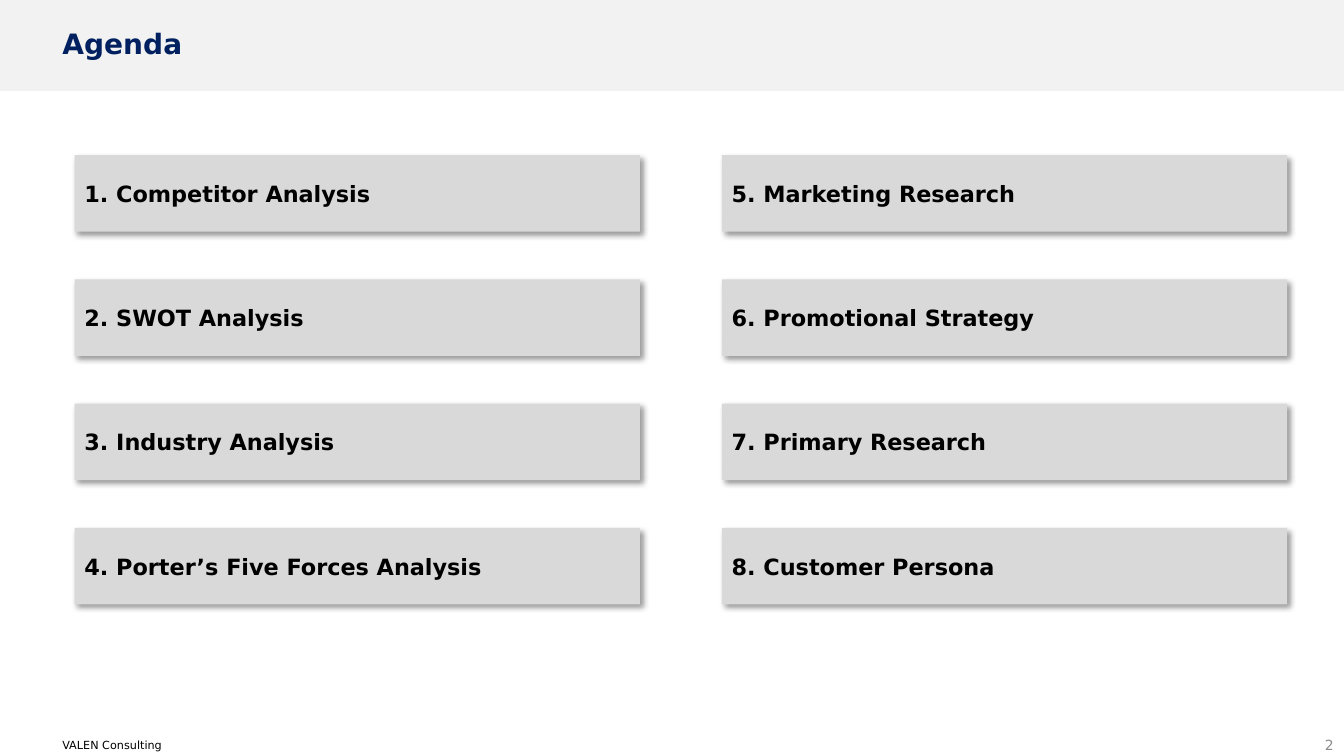
from lxml import etree
from pptx import Presentation
from pptx import util as u
from pptx.dml.color import RGBColor
from pptx.enum import shapes, text
from pptx.oxml.ns import qn

# Content
TITLE = "Agenda"
FOOTER = "VALEN Consulting"
PAGE_NUMBER = "2"
COLUMNS = [
    ["1. Competitor Analysis", "2. SWOT Analysis",
     "3. Industry Analysis", "4. Porter’s Five Forces Analysis"],
    ["5. Marketing Research", "6. Promotional Strategy",
     "7. Primary Research", "8. Customer Persona"],
]

# Style and grid, lengths in centimetres
FONT = "DejaVu Sans"
PAGE_WIDTH, PAGE_HEIGHT = 33.87, 19.05
BAND_HEIGHT = 2.29
CARD_LEFT, CARD_TOP = 1.88, 3.91
CARD_WIDTH, CARD_HEIGHT = 14.25, 1.93
COLUMN_STEP, ROW_STEP = 16.31, 3.13


def color(value):
    return RGBColor.from_string(value)


def write(box, words, size, ink, bold=False, align=text.PP_ALIGN.LEFT):
    frame = box.text_frame
    frame.word_wrap = True
    frame.auto_size = text.MSO_AUTO_SIZE.NONE
    frame.vertical_anchor = text.MSO_ANCHOR.MIDDLE
    para = frame.paragraphs[0]
    para.alignment = align
    span = para.add_run()
    span.text = words
    span.font.name = FONT
    span.font.size = u.Pt(size)
    span.font.bold = bold
    span.font.color.rgb = color(ink)
    return para


def add_block(page, left, top, width, height, fill):
    block = page.shapes.add_shape(shapes.MSO_SHAPE.RECTANGLE, u.Cm(left),
                                  u.Cm(top), u.Cm(width), u.Cm(height))
    block.fill.solid()
    block.fill.fore_color.rgb = color(fill)
    block.line.fill.background()
    block.shadow.inherit = False
    return block


def add_shadow(block):
    effects = block.element.spPr.find(qn("a:effectLst"))
    shadow = etree.SubElement(effects, qn("a:outerShdw"), blurRad=str(u.Pt(4)),
                              dist=str(u.Pt(3)), dir="2700000", algn="tl", rotWithShape="0")
    black = etree.SubElement(shadow, qn("a:srgbClr"), val="000000")
    etree.SubElement(black, qn("a:alpha"), val="40000")


def add_label(page, left, top, width, height):
    return page.shapes.add_textbox(u.Cm(left), u.Cm(top), u.Cm(width), u.Cm(height))


def main():
    deck = Presentation()
    deck.slide_width, deck.slide_height = u.Cm(PAGE_WIDTH), u.Cm(PAGE_HEIGHT)
    page = deck.slides.add_slide(deck.slide_layouts.get_by_name("Title Only"))

    # Header band, placed behind the title
    band = add_block(page, 0, 0, PAGE_WIDTH, BAND_HEIGHT, "F2F2F2")
    page.shapes.title.element.addprevious(band.element)

    # Title
    title = page.shapes.title
    title.left, title.top = u.Cm(1.32), u.Cm(0.18)
    title.width, title.height = u.Cm(26.72), u.Cm(1.93)
    write(title, TITLE, 20, "002060", bold=True).line_spacing = 0.9

    # Agenda cards
    for column, topics in enumerate(COLUMNS):
        for row, topic in enumerate(topics):
            card = add_block(page, CARD_LEFT + column * COLUMN_STEP,
                             CARD_TOP + row * ROW_STEP, CARD_WIDTH, CARD_HEIGHT, "D9D9D9")
            add_shadow(card)
            write(card, topic, 16, "000000", bold=True)

    # Footer and page number
    footer = add_label(page, 1.32, 18.52, 30.84, 0.53)
    write(footer, FOOTER, 8, "000000").line_spacing = 0.9
    number = add_label(page, 31.62, 18.36, 2.24, 0.84)
    write(number, PAGE_NUMBER, 10, "8C8C8C", align=text.PP_ALIGN.RIGHT)

    deck.save("out.pptx")


if __name__ == "__main__":
    main()
